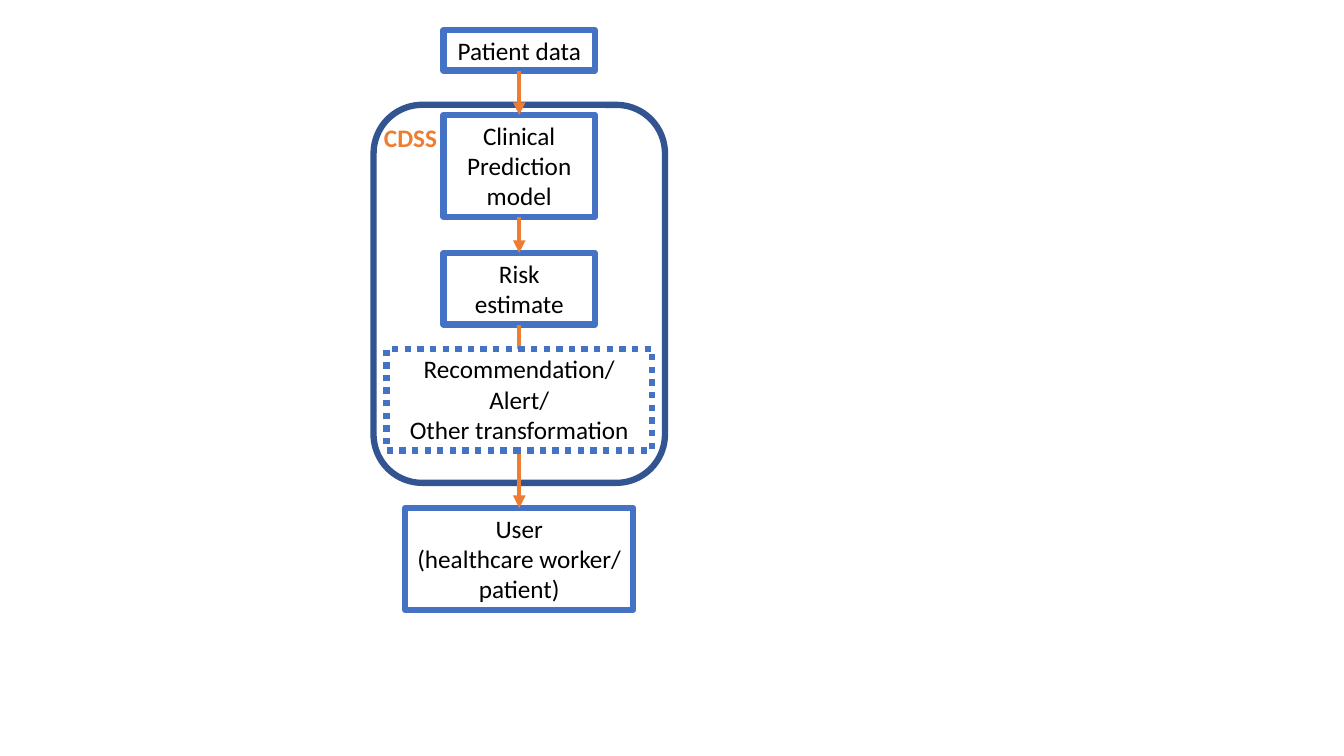
from lxml.etree import SubElement
from pptx import Presentation
from pptx.dml.color import RGBColor
from pptx.enum.dml import MSO_LINE
from pptx.enum.shapes import MSO_CONNECTOR, MSO_SHAPE
from pptx.enum.text import MSO_ANCHOR, MSO_AUTO_SIZE, PP_ALIGN
from pptx.oxml.ns import qn
from pptx.util import Inches, Pt

BLUE = RGBColor(0x44, 0x72, 0xC4)
NAVY = RGBColor(0x32, 0x54, 0x91)
ORANGE = RGBColor(0xED, 0x7D, 0x31)
BLACK = RGBColor(0, 0, 0)
WHITE = RGBColor(255, 255, 255)
MID = 5.15  # centre line of the flow


class Chart:
    font = {"name": "Calibri", "size": Pt(18)}
    frame = {"word_wrap": True, "auto_size": MSO_AUTO_SIZE.NONE}
    edge = Pt(4.5)
    stem = Pt(3)

    def __init__(self, slide):
        self.shapes = slide.shapes

    def letter(self, shape, lines, align, color, **style):
        """Set one paragraph for each line of text."""
        text = shape.text_frame
        for name, value in self.frame.items():
            setattr(text, name, value)
        for i, line in enumerate(lines):
            para = text.add_paragraph() if i else text.paragraphs[0]
            para.alignment = align
            run = para.add_run()
            run.text = line
            run.font.color.rgb = color
            for name, value in (self.font | style).items():
                setattr(run.font, name, value)

    def block(self, kind, top, width, height, color):
        """Add an outlined shape centred on the flow."""
        shape = self.shapes.add_shape(kind, Inches(MID - width / 2), Inches(top),
                                      Inches(width), Inches(height))
        shape.shadow.inherit = False
        shape.line.color.rgb = color
        shape.line.width = self.edge
        return shape

    def box(self, top, width, height, lines, dash=None):
        shape = self.block(MSO_SHAPE.RECTANGLE, top, width, height, BLUE)
        shape.fill.solid()
        shape.fill.fore_color.rgb = WHITE
        if dash:
            shape.line.dash_style = dash
        shape.text_frame.vertical_anchor = MSO_ANCHOR.TOP
        self.letter(shape, lines, PP_ALIGN.CENTER, BLACK)

    def group(self, top, width, height):
        """Add the hollow rounded outline around the system."""
        shape = self.block(MSO_SHAPE.ROUNDED_RECTANGLE, top, width, height, NAVY)
        shape.fill.background()

    def arrow(self, top, end):
        link = self.shapes.add_connector(MSO_CONNECTOR.STRAIGHT, Inches(MID), Inches(top),
                                         Inches(MID), Inches(end))
        link.line.color.rgb = ORANGE
        link.line.width = self.stem
        props = link.element.spPr
        SubElement(props.get_or_add_ln(), qn("a:tailEnd"), type="triangle")
        SubElement(props, qn("a:effectLst"))

    def label(self, left, top, width, height, text):
        shape = self.shapes.add_textbox(Inches(left), Inches(top), Inches(width), Inches(height))
        self.letter(shape, [text], PP_ALIGN.LEFT, ORANGE, bold=True)


def main():
    deck = Presentation()
    deck.slide_width, deck.slide_height = Inches(13.33), Inches(7.5)
    chart = Chart(deck.slides.add_slide(deck.slide_layouts[6]))

    steps = [
        (0.3, 1.5, 0.4, ["Patient data"]),
        (1.14, 1.5, 1.01, ["Clinical Prediction model"]),
        (2.51, 1.5, 0.71, ["Risk estimate"]),
        (5.04, 2.26, 1.01, ["User", "(healthcare worker/ patient)"]),
    ]
    for step in steps:
        chart.box(*step)
    chart.group(1.04, 2.89, 3.75)
    for (top, _, height, _), below in zip(steps, steps[1:]):
        chart.arrow(top + height, below[0])
    chart.box(3.46, 2.63, 1.01, ["Recommendation/", "Alert/", "Other transformation"],
              MSO_LINE.ROUND_DOT)
    chart.label(3.71, 1.16, 0.8, 0.4, "CDSS")
    deck.save("out.pptx")


if __name__ == "__main__":
    main()
